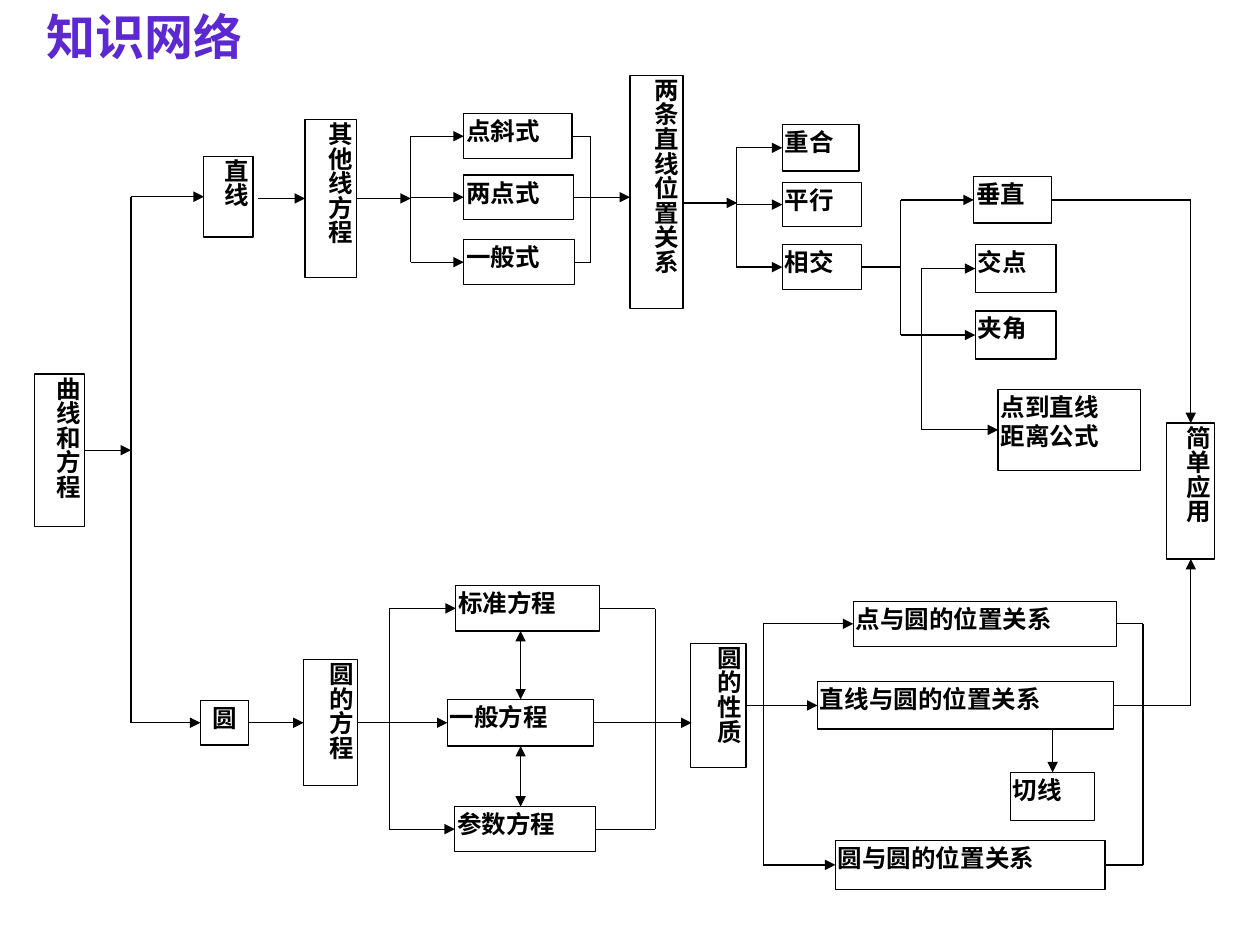
from dataclasses import dataclass

from lxml.etree import SubElement
from pptx import Presentation
from pptx.dml.color import RGBColor
from pptx.enum.shapes import MSO_CONNECTOR, MSO_SHAPE
from pptx.enum.text import MSO_ANCHOR, PP_ALIGN
from pptx.oxml.ns import qn
from pptx.util import Cm, Pt

TOP, LEFT, BOTTOM, RIGHT = range(4)


@dataclass(frozen=True)
class Theme:
    font: str = "Times New Roman"
    title: RGBColor = RGBColor(0x5C, 0x28, 0xD0)
    ink: RGBColor = RGBColor(0, 0, 0)
    title_size: Pt = Pt(28)
    body_size: Pt = Pt(14)
    line: Pt = Pt(0.75)
    inset: Cm = Cm(0.05)


class Diagram:
    def __init__(self, s, theme):
        self.s, self.theme, self.boxes = s, theme, {}

    def style(self, p, size, color, align):
        p.alignment = align
        p.font.name, p.font.size, p.font.bold = self.theme.font, size, True
        p.font.color.rgb = color

    def title(self, text, l, t, w, h):
        tf = self.s.shapes.add_textbox(Cm(l), Cm(t), Cm(w), Cm(h)).text_frame
        tf.word_wrap = True
        tf.text = text
        self.style(tf.paragraphs[0], self.theme.title_size, self.theme.title, PP_ALIGN.LEFT)

    def box(self, text, l, t, w, h, align=PP_ALIGN.JUSTIFY, vertical=False):
        sp = self.s.shapes.add_shape(MSO_SHAPE.RECTANGLE, Cm(l), Cm(t), Cm(w), Cm(h))
        sp.shadow.inherit = False
        sp.fill.background()
        sp.line.color.rgb, sp.line.width = self.theme.ink, self.theme.line
        tf = sp.text_frame
        tf.word_wrap, tf.vertical_anchor = True, MSO_ANCHOR.TOP
        tf.margin_left = tf.margin_top = tf.margin_right = tf.margin_bottom = self.theme.inset
        if vertical:
            tf._txBody.bodyPr.set("vert", "eaVert")
        tf.text = text
        for p in tf.paragraphs:
            self.style(p, self.theme.body_size, self.theme.ink, align)
        self.boxes[text] = sp

    def line(self, x1, y1, x2, y2, ends=()):
        c = self.s.shapes.add_connector(MSO_CONNECTOR.STRAIGHT, x1, y1, x2, y2)
        c.line.color.rgb, c.line.width = self.theme.ink, self.theme.line
        for end in ends:
            SubElement(c.line._get_or_add_ln(), qn(f"a:{end}"), type="triangle")
        SubElement(c._element.spPr, qn("a:effectLst"))
        return c

    def segment(self, x1, y1, x2, y2, ends=()):
        return self.line(Cm(x1), Cm(y1), Cm(x2), Cm(y2), ends)

    def side(self, name, side):
        sp = self.boxes[name]
        x, y = sp.left + sp.width // 2, sp.top + sp.height // 2
        return [(x, sp.top), (sp.left, y), (x, sp.top + sp.height), (sp.left + sp.width, y)][side]

    def level(self, name, side, far):
        """Free end straight out from a side, at the coordinate far."""
        x, y = self.side(name, side)
        return (Cm(far), y) if side in (LEFT, RIGHT) else (x, Cm(far))

    def enter(self, far, name, side=LEFT, ends=("tailEnd",)):
        c = self.line(*self.level(name, side, far), *self.side(name, side), ends)
        c.end_connect(self.boxes[name], side)

    def leave(self, name, far, side=RIGHT, ends=()):
        c = self.line(*self.side(name, side), *self.level(name, side, far), ends)
        c.begin_connect(self.boxes[name], side)

    def join(self, a, b):
        c = self.line(*self.side(a, RIGHT), *self.side(b, LEFT), ("tailEnd",))
        c.begin_connect(self.boxes[a], RIGHT)
        c.end_connect(self.boxes[b], LEFT)


def main():
    prs = Presentation()
    prs.slide_width, prs.slide_height = Cm(25.4), Cm(19.05)
    d = Diagram(prs.slides.add_slide(prs.slide_layouts[6]), Theme())
    arrow, both = ("tailEnd",), ("headEnd", "tailEnd")

    d.title("知识网络", 0.69, 0, 7.49, 1.45)

    # Vertical boxes
    for text, l, t, w, h in [
        ("曲线和方程", 0.69, 7.54, 1.02, 3.07),
        ("直线", 4.11, 3.15, 0.99, 1.63),
        ("其他线方程", 6.15, 2.41, 1.04, 3.18),
        ("两条直线位置关系", 12.7, 1.52, 1.07, 4.7),
        ("简单应用", 23.52, 8.53, 0.97, 2.74),
    ]:
        d.box(text, l, t, w, h, PP_ALIGN.CENTER, vertical=True)
    d.box("圆的方程", 6.12, 13.3, 1.09, 2.54, vertical=True)
    d.box("圆的性质", 13.92, 12.97, 1.12, 2.5, vertical=True)

    # Horizontal boxes
    d.box("圆", 4.04, 14.12, 0.97, 0.9, PP_ALIGN.CENTER)
    for text, l, t, w, h in [
        ("点斜式", 9.35, 2.29, 2.18, 0.91),
        ("两点式", 9.35, 3.53, 2.21, 0.89),
        ("一般式", 9.35, 4.83, 2.24, 0.91),
        ("重合", 15.77, 2.51, 1.55, 0.94),
        ("平行", 15.77, 3.68, 1.6, 0.89),
        ("相交", 15.77, 4.93, 1.6, 0.91),
        ("垂直", 19.63, 3.56, 1.57, 0.94),
        ("交点", 19.66, 4.93, 1.63, 0.97),
        ("夹角", 19.66, 6.27, 1.63, 0.97),
        ("点到直线\n距离公式", 20.12, 7.85, 2.87, 1.63),
        ("标准方程", 9.19, 11.81, 2.9, 0.91),
        ("一般方程", 9.02, 14.1, 2.95, 0.94),
        ("参数方程", 9.17, 16.26, 2.84, 0.91),
        ("点与圆的位置关系", 17.2, 12.12, 5.31, 0.91),
        ("直线与圆的位置关系", 16.48, 13.74, 5.97, 0.96),
        ("切线", 20.37, 15.57, 1.7, 0.97),
        ("圆与圆的位置关系", 16.84, 16.94, 5.44, 0.99),
    ]:
        d.box(text, l, t, w, h)

    # Trunks: x, top, bottom
    for x, y1, y2 in [
        (2.64, 3.97, 14.57), (8.28, 2.75, 5.28), (11.91, 2.75, 5.28),
        (14.84, 2.98, 5.38), (18.16, 4.03, 6.75), (18.57, 5.42, 8.66),
        (7.85, 12.27, 16.71), (13.21, 12.27, 16.71),
        (15.39, 12.58, 17.43), (23.04, 12.58, 17.43),
    ]:
        d.segment(x, y1, x, y2)

    # Arrows from a trunk into a box
    for x, names in [
        (2.64, ["直线", "圆"]),
        (5.2, ["其他线方程"]),
        (8.28, ["点斜式", "两点式", "一般式"]),
        (14.84, ["重合", "平行", "相交"]),
        (18.16, ["垂直", "夹角"]),
        (18.57, ["交点", "点到直线\n距离公式"]),
        (7.85, ["标准方程", "参数方程"]),
        (15.39, ["点与圆的位置关系", "圆与圆的位置关系"]),
    ]:
        for name in names:
            d.enter(x, name)

    # Lines from a box to a trunk
    for x, names in [
        (11.91, ["点斜式", "一般式"]),
        (18.16, ["相交"]),
        (13.21, ["标准方程", "参数方程"]),
        (23.04, ["点与圆的位置关系", "圆与圆的位置关系"]),
        (24, ["垂直", "直线与圆的位置关系"]),
    ]:
        for name in names:
            d.leave(name, x)
    for name, x in [("曲线和方程", 2.64), ("其他线方程", 8.28), ("两点式", 12.7), ("一般方程", 13.94)]:
        d.leave(name, x, ends=arrow)
    d.segment(13.79, 4.09, 14.86, 4.09, arrow)

    # Box to box
    for a, b in [("圆", "圆的方程"), ("圆的方程", "一般方程"), ("圆的性质", "直线与圆的位置关系")]:
        d.join(a, b)

    # Vertical arrows
    d.enter(4.03, "简单应用", TOP)
    d.enter(14.22, "简单应用", BOTTOM)
    d.enter(14.7, "切线", TOP)
    d.enter(12.72, "一般方程", TOP, both)
    d.enter(16.26, "一般方程", BOTTOM, both)

    prs.save("out.pptx")


if __name__ == "__main__":
    main()
